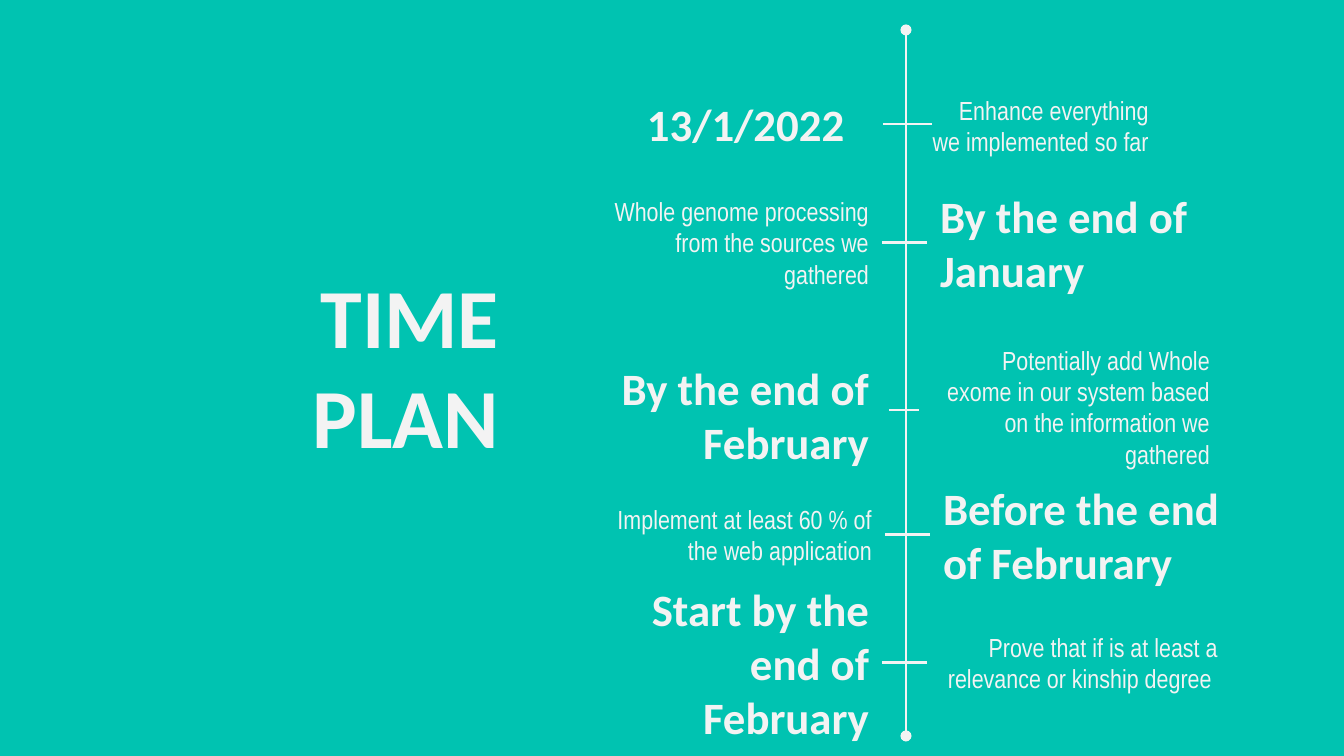
from lxml.etree import SubElement
from pptx import Presentation
from pptx.dml.color import RGBColor
from pptx.enum.shapes import MSO_CONNECTOR
from pptx.enum.text import MSO_ANCHOR, MSO_AUTO_SIZE, PP_ALIGN
from pptx.oxml.ns import qn
from pptx.util import Pt

PX = 914400 / 134.4  # EMU in one px


class Theme:
    background = RGBColor(0x00, 0xC3, 0xB1)
    ink = RGBColor(0xF3, 0xF3, 0xF3)
    heading_font, body_font = "Calibri", "Arial Narrow"
    title_size, date_size, body_size = 45, 24, 14
    line_width = 1.5
    inset = 13


def px(*lengths):
    return [round(length * PX) for length in lengths]


def write_text(shape, text, font=Theme.body_font, size=Theme.body_size, bold=False,
               align=PP_ALIGN.RIGHT, anchor=MSO_ANCHOR.MIDDLE, left_inset=Theme.inset):
    frame = shape.text_frame
    frame.word_wrap = True
    frame.auto_size = MSO_AUTO_SIZE.NONE
    frame.vertical_anchor = anchor
    frame.margin_left, frame.margin_top, frame.margin_right, frame.margin_bottom = px(
        left_inset, Theme.inset, Theme.inset, Theme.inset)
    paragraph = frame.paragraphs[0]
    paragraph.alignment = align
    run = paragraph.add_run()
    run.text = text
    run.font.name, run.font.size, run.font.bold = font, Pt(size), bold
    run.font.color.rgb = Theme.ink


presentation = Presentation()
presentation.slide_width, presentation.slide_height = px(1344, 756)
slide = presentation.slides.add_slide(presentation.slide_layouts[5])
slide.background.fill.solid()
slide.background.fill.fore_color.rgb = Theme.background

# Title, inset so that it breaks after the first word
title = slide.shapes.title
title.left, title.top, title.width, title.height = px(106, 251, 406, 125)
write_text(title, "TIME PLAN", font=Theme.heading_font, size=Theme.title_size,
           bold=True, anchor=MSO_ANCHOR.TOP, left_inset=60)

# Milestones: left box, right box, each as (left, top, width, text, is date,
# align, anchor); then the tick as (start, end, y, joins the boxes)
LEFT, RIGHT = PP_ALIGN.LEFT, PP_ALIGN.RIGHT
MIDDLE, TOP = MSO_ANCHOR.MIDDLE, MSO_ANCHOR.TOP
BOX_WIDTH, BOX_HEIGHT = 304, 93
milestones = [
    ((634, 77, 234, "13/1/2022", True, LEFT, MIDDLE),
     (919, 79, 243, "Enhance everything we implemented so far", False, RIGHT, MIDDLE),
     (883, 932, 124, False)),
    ((578, 196, BOX_WIDTH, "Whole genome processing from the sources we gathered",
      False, RIGHT, MIDDLE),
     (927, 196, BOX_WIDTH, "By the end of January", True, LEFT, MIDDLE),
     (882, 927, 242, True)),
    ((578, 368, BOX_WIDTH, "By the end of February", True, RIGHT, MIDDLE),
     (919, 331, BOX_WIDTH,
      "Potentially add Whole exome in our system based on the information we gathered",
      False, RIGHT, TOP),
     (889, 919, 410, False)),
    ((581, 488, BOX_WIDTH, "Implement at least 60 % of the web application",
      False, RIGHT, MIDDLE),
     (930, 488, BOX_WIDTH, "Before the end of Februrary", True, LEFT, MIDDLE),
     (885, 930, 534, True)),
    ((578, 616, BOX_WIDTH, "Start by the end of February", True, RIGHT, MIDDLE),
     (927, 616, BOX_WIDTH, "Prove that if is at least a relevance or kinship degree ",
      False, RIGHT, MIDDLE),
     (882, 927, 662, True)),
]

# Time axis
axis = slide.shapes.add_connector(MSO_CONNECTOR.STRAIGHT, *px(906, 30, 906, 736))
lines = [axis]

for left_box, right_box, (start, end, y, joined) in milestones:
    boxes = []
    for left, top, width, text, is_date, align, anchor in (left_box, right_box):
        box = slide.shapes.add_textbox(*px(left, top, width, BOX_HEIGHT))
        write_text(box, text, bold=is_date, align=align, anchor=anchor,
                   font=Theme.heading_font if is_date else Theme.body_font,
                   size=Theme.date_size if is_date else Theme.body_size)
        boxes.append(box)
    tick = slide.shapes.add_connector(MSO_CONNECTOR.STRAIGHT, *px(start, y, end, y))
    if joined:
        tick.begin_connect(boxes[0], 3)
        tick.end_connect(boxes[1], 1)
    lines.append(tick)

# Line format
for line in lines:
    line.line.color.rgb = Theme.ink
    line.line.width = Pt(Theme.line_width)
    SubElement(line._element.spPr, qn("a:effectLst"))

# Round ends of the axis
for end_tag in ("a:headEnd", "a:tailEnd"):
    SubElement(axis.line._get_or_add_ln(), qn(end_tag), type="oval")

presentation.save("out.pptx")
